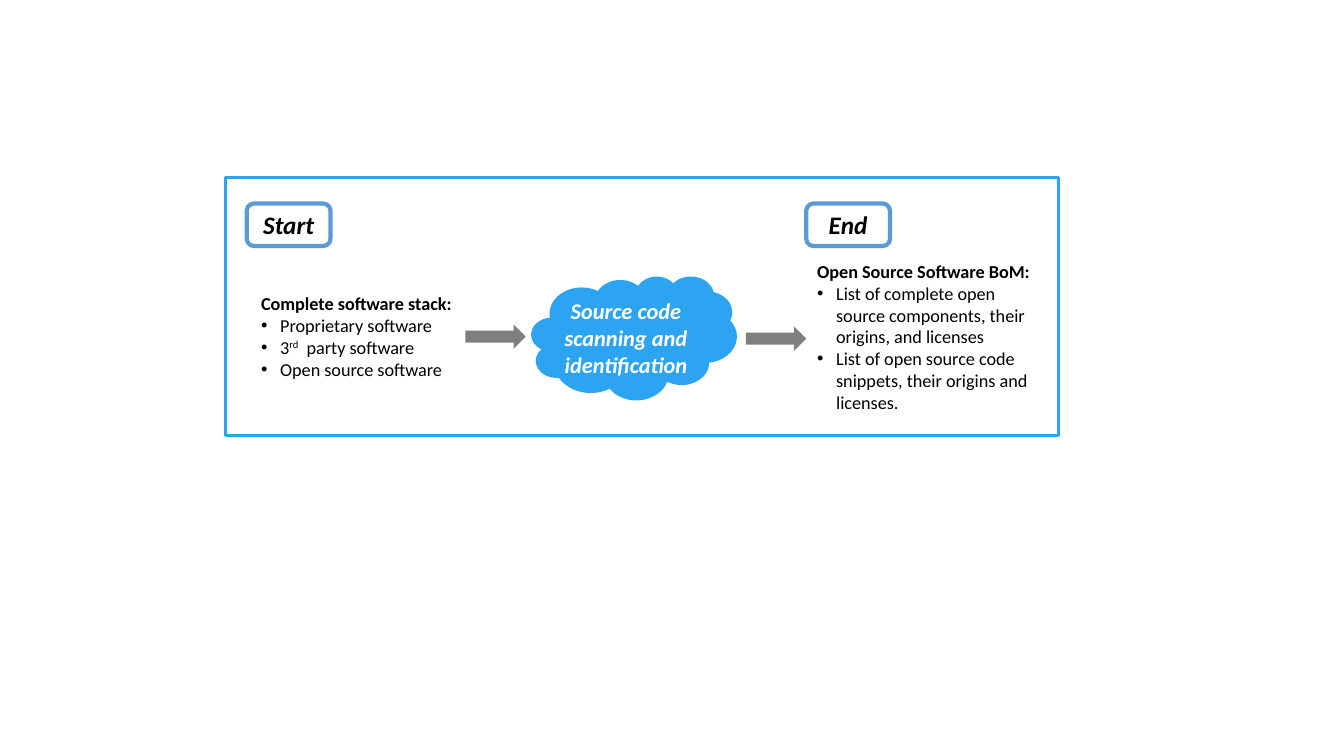
from lxml.etree import SubElement
from pptx import Presentation
from pptx.dml.color import RGBColor
from pptx.enum.shapes import MSO_SHAPE as Shape
from pptx.enum.text import MSO_ANCHOR as Anchor, PP_ALIGN as Align
from pptx.oxml.ns import qn
from pptx.util import Cm, Pt

BLUE = RGBColor(0x2C, 0xA4, 0xF2)
TAG_BLUE = RGBColor(0x5B, 0x9B, 0xD5)
GRAY = RGBColor(0x7F, 0x7F, 0x7F)
WHITE = RGBColor(0xFF, 0xFF, 0xFF)
BLACK = RGBColor(0x00, 0x00, 0x00)


def add_box(s, kind, at, fill=None, line=None, width=0):
    """Add a preset shape with an optional fill and outline."""
    sp = s.shapes.add_shape(kind, *map(Cm, at))
    sp.shadow.inherit = False
    if fill is None:
        sp.fill.background()
    else:
        sp.fill.solid()
        sp.fill.fore_color.rgb = fill
    if line is None:
        sp.line.fill.background()
    else:
        sp.line.color.rgb = line
        sp.line.width = Pt(width)
    return sp


def style_run(r, size, color=BLACK, bold=True, italic=False):
    """Set the font of one run."""
    r.font.name = "Calibri"
    r.font.size = Pt(size)
    r.font.color.rgb = color
    r.font.bold = bold
    r.font.italic = italic


def add_caption(sp, text, size, color=BLACK):
    """Write a centred bold italic caption into a shape."""
    tf = sp.text_frame
    tf.word_wrap = True
    tf.vertical_anchor = Anchor.MIDDLE
    tf.text = text
    p = tf.paragraphs[0]
    p.alignment = Align.CENTER
    style_run(p.runs[0], size, color, italic=True)


def add_tag(s, left, text):
    """Add an outlined tag in the top row."""
    sp = add_box(s, Shape.ROUNDED_RECTANGLE, (left, 5.13, 2.11, 1.07), None, TAG_BLUE, 3)
    add_caption(sp, text, 18)


def add_bullet(p):
    """Give a paragraph a hanging bullet."""
    pPr = p._p.get_or_add_pPr()
    pPr.set("marL", str(Cm(0.48)))
    pPr.set("indent", str(-Cm(0.48)))
    SubElement(pPr, qn("a:buFont"), typeface="Arial")
    SubElement(pPr, qn("a:buChar"), char="•")


def add_list(s, at, title, items, fill=None):
    """Add a titled bullet list whose items are tuples of text and baseline."""
    sp = add_box(s, Shape.ROUNDED_RECTANGLE, at, fill)
    tf = sp.text_frame
    tf.word_wrap = True
    tf.vertical_anchor = Anchor.MIDDLE
    tf.margin_left = tf.margin_right = Cm(0.23)
    tf.margin_top = tf.margin_bottom = Cm(0.13)
    tf.text = title
    tf.paragraphs[0].alignment = Align.LEFT
    style_run(tf.paragraphs[0].runs[0], 13)
    for item in items:
        p = tf.add_paragraph()
        p.alignment = Align.LEFT
        add_bullet(p)
        for text, baseline in item:
            r = p.add_run()
            r.text = text
            style_run(r, 13, bold=False)
            if baseline:
                r.font._element.set("baseline", str(baseline))


def add_cloud(s, text):
    """Add the process cloud and its caption."""
    sp = add_box(s, Shape.CLOUD_CALLOUT, (13.39, 6.96, 5.18, 3.12), BLUE)
    sp.adjustments[0] = -0.072
    sp.adjustments[1] = 0.05
    caption = s.shapes.add_textbox(Cm(13.64), Cm(7.23), Cm(4.27), Cm(2.57))
    add_caption(caption, text, 16, WHITE)


def main():
    """Build the slide and save it."""
    prs = Presentation()
    prs.slide_width, prs.slide_height = Cm(33.87), Cm(19.05)
    s = prs.slides.add_slide(prs.slide_layouts[6])
    add_box(s, Shape.RECTANGLE, (5.69, 4.47, 20.98, 6.5), WHITE, BLUE, 2.25)
    add_cloud(s, "Source code scanning and identification")
    add_list(s, (6.22, 7.11, 5.66, 2.72), "Complete software stack:", [
        [("Proprietary software", 0)],
        [("3", 0), ("rd", 30000), ("  party software", 0)],
        [("Open source software", 0)],
    ])
    add_list(s, (20.14, 6.2, 6.4, 4.57), "Open Source Software BoM:", [
        [("List of complete open source components, their origins, and licenses", 0)],
        [("List of open source code snippets, their origins and licenses.", 0)],
    ], WHITE)
    for left, top in ((11.73, 8.18), (18.8, 8.23)):
        add_box(s, Shape.RIGHT_ARROW, (left, top, 1.52, 0.61), GRAY)
    add_tag(s, 6.22, "Start")
    add_tag(s, 20.32, "End")
    prs.save("out.pptx")


if __name__ == "__main__":
    main()
